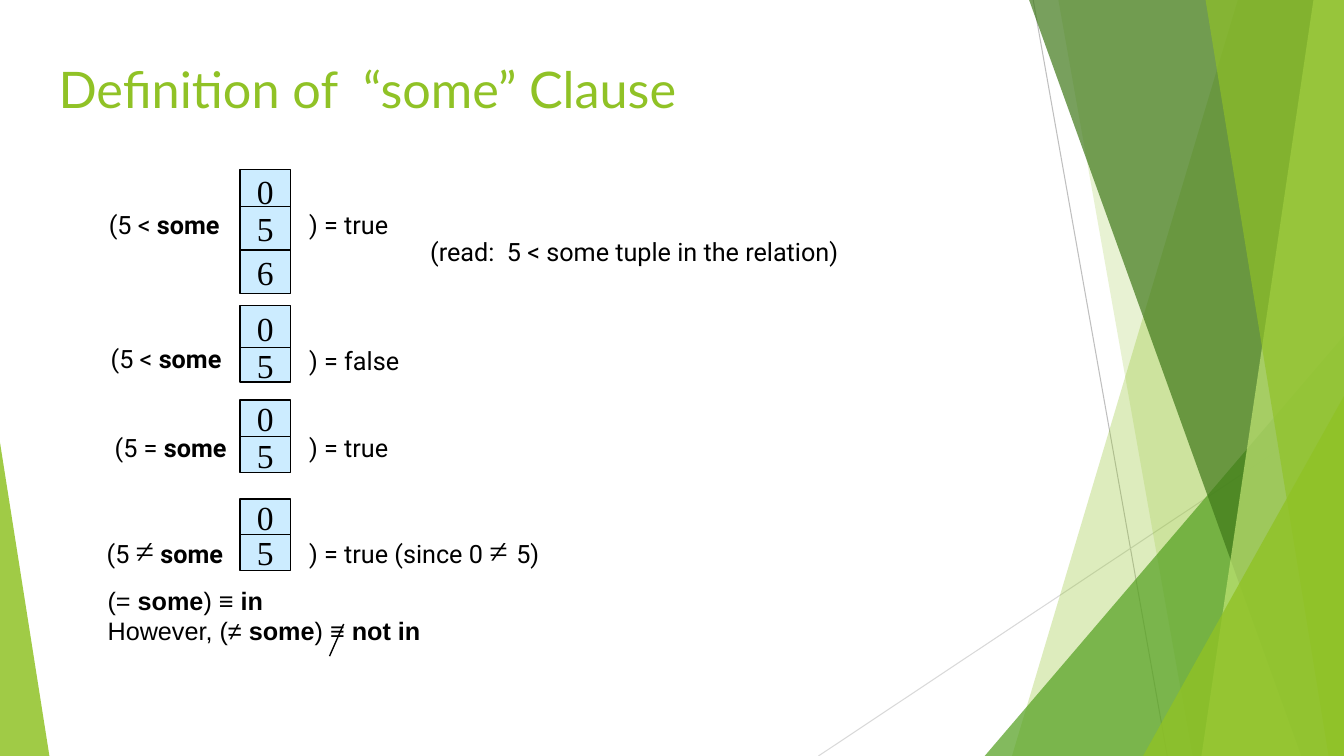
"""Build the slide that defines the "some" clause with worked comparisons."""
from dataclasses import dataclass

from lxml.etree import SubElement
from pptx import Presentation
from pptx.dml.color import RGBColor
from pptx.enum.shapes import MSO_CONNECTOR, MSO_SHAPE
from pptx.enum.text import MSO_ANCHOR, MSO_AUTO_SIZE, PP_ALIGN
from pptx.oxml.ns import qn
from pptx.util import Pt


@dataclass(frozen=True)
class Theme:
    lime: str = "90C226"
    green: str = "54A021"
    forest: str = "3F7819"
    pale: str = "C0E474"
    cell: str = "CCECFF"
    ink: str = "000000"
    grey: str = "BFBFBF"
    light_grey: str = "D9D9D9"
    title_font: str = "Lato"
    label_font: str = "Roboto"
    value_font: str = "Times New Roman"
    summary_font: str = "Arial"
    title_size: float = 36
    label_size: float = 18
    value_size: float = 24


@dataclass(frozen=True)
class Shard:
    top_x: float
    bottom_x: float
    color: str
    opacity: int


@dataclass(frozen=True)
class Wedge:
    left: float
    top: float
    width: float
    apex: float
    color: str
    opacity: int


@dataclass(frozen=True)
class Rule:
    start: tuple[float, float]
    end: tuple[float, float]
    color: str
    weight: float


@dataclass(frozen=True)
class Span:
    text: str
    bold: bool = False
    symbol: bool = False


@dataclass(frozen=True)
class Label:
    left: float
    top: float
    width: float
    height: float
    lines: tuple[tuple[Span, ...], ...]
    font: str


@dataclass(frozen=True)
class Cell:
    value: str
    top: float
    height: float


THEME = Theme()
PAGE_WIDTH, PAGE_HEIGHT = 960, 540
CELL_LEFT, CELL_WIDTH = 171.4, 36
RESULT_LEFT = 213.8

BACKDROP_RULES = (
    Rule((738, 0), (833.8, 540), THEME.grey, 0.75),
    Rule((960, 290.2), (584.6, 540), THEME.light_grey, 0.75),
)
BACKDROP = (
    Shard(884.2, 722.9, THEME.lime, 30),
    Shard(756, 851.8, THEME.lime, 20),
    Wedge(703.4, 239.8, 256.6, 1, THEME.green, 72),
    Shard(735.1, 929.5, THEME.forest, 70),
    Shard(938.2, 858.2, THEME.pale, 70),
    Shard(861.1, 949, THEME.lime, 65),
    Wedge(816.5, 283, 143.5, 1, THEME.lime, 80),
    Wedge(0, 316.1, 35.3, 0, THEME.lime, 85),
)
CELLS = (
    Cell("0", 121, 31), Cell("5", 147.6, 31), Cell("6", 178.6, 31),
    Cell("0", 218.2, 31.7), Cell("5", 248.4, 24.5),
    Cell("0", 285.8, 25.9), Cell("5", 311.8, 25.9),
    Cell("0", 356.4, 25.9), Cell("5", 381.6, 25.9),
)
SOME = Span("some", bold=True)
NOT_EQUAL = Span("≠", symbol=True)


def label(left: float, top: float, width: float, *spans: Span, height: float = 31) -> Label:
    return Label(left, top, width, height, (spans,), THEME.label_font)


LABELS = (
    label(70.6, 146.2, 106.6, Span("(5 < "), SOME),
    label(RESULT_LEFT, 146.2, 72, Span(") = true")),
    label(300.2, 165.6, 386, Span("(read:  5 < some tuple in the relation)")),
    label(72, 241.9, 108.7, Span("(5 < "), SOME),
    label(RESULT_LEFT, 243.4, 96.5, Span(") = false")),
    label(74.9, 305.3, 120.2, Span("(5 = "), SOME),
    label(RESULT_LEFT, 305.3, 96.5, Span(") = true")),
    label(69.1, 375.1, 114.5, Span("(5 "), NOT_EQUAL, Span(" "), SOME, height=38.2),
    label(RESULT_LEFT, 375.1, 198.7, Span(") = true (since 0 "),
          Span("≠ ", symbol=True), Span("5)"), height=38.2),
    Label(69.8, 414.7, 537.8, 59.8, (
        (Span("(= "), SOME, Span(") ≡ "), Span("in", bold=True)),
        (Span("However, (≠ "), SOME, Span(") ≡ "), Span("not in", bold=True)),
    ), THEME.summary_font),
)
STRIKE = Rule((245.5, 445.7), (235.4, 468.7), THEME.ink, 1)


def write(para, text: str, *, font: str, size: float, color: str, bold: bool = False) -> None:
    span = para.add_run()
    span.text = text
    span.font.name = font
    span.font.size = Pt(size)
    span.font.bold = bold
    span.font.color.rgb = RGBColor.from_string(color)


def paint(shape, color: str, opacity: int) -> None:
    shape.shadow.inherit = False
    shape.fill.solid()
    shape.fill.fore_color.rgb = RGBColor.from_string(color)
    shape.line.fill.background()
    tint = shape._element.spPr.find(".//" + qn("a:srgbClr"))
    SubElement(tint, qn("a:alpha"), val=str(opacity * 1000))


def draw_shard(page, shard: Shard) -> None:
    builder = page.shapes.build_freeform(Pt(shard.top_x), Pt(0))
    corners = ((PAGE_WIDTH, 0), (PAGE_WIDTH, PAGE_HEIGHT), (shard.bottom_x, PAGE_HEIGHT))
    builder.add_line_segments([(Pt(x), Pt(y)) for x, y in corners], close=True)
    paint(builder.convert_to_shape(), shard.color, shard.opacity)


def draw_wedge(page, wedge: Wedge) -> None:
    shape = page.shapes.add_shape(
        MSO_SHAPE.ISOSCELES_TRIANGLE, Pt(wedge.left), Pt(wedge.top),
        Pt(wedge.width), Pt(PAGE_HEIGHT - wedge.top))
    shape.adjustments[0] = wedge.apex
    paint(shape, wedge.color, wedge.opacity)


def draw_rule(page, rule: Rule) -> None:
    line = page.shapes.add_connector(
        MSO_CONNECTOR.STRAIGHT, *(Pt(value) for value in rule.start + rule.end))
    line.line.color.rgb = RGBColor.from_string(rule.color)
    line.line.width = Pt(rule.weight)
    SubElement(line._element.spPr, qn("a:effectLst"))


def draw_cell(page, cell: Cell) -> None:
    box = page.shapes.add_shape(
        MSO_SHAPE.RECTANGLE, Pt(CELL_LEFT), Pt(cell.top), Pt(CELL_WIDTH), Pt(cell.height))
    box.shadow.inherit = False
    box.fill.solid()
    box.fill.fore_color.rgb = RGBColor.from_string(THEME.cell)
    box.line.color.rgb = RGBColor.from_string(THEME.ink)
    box.line.width = Pt(1)
    box.text_frame.word_wrap = False
    box.text_frame.vertical_anchor = MSO_ANCHOR.MIDDLE
    para = box.text_frame.paragraphs[0]
    para.alignment = PP_ALIGN.CENTER
    write(para, cell.value, font=THEME.value_font, size=THEME.value_size, color=THEME.ink)


def draw_label(page, item: Label) -> None:
    box = page.shapes.add_textbox(Pt(item.left), Pt(item.top), Pt(item.width), Pt(item.height))
    frame = box.text_frame
    frame.word_wrap = True
    for index, spans in enumerate(item.lines):
        para = frame.add_paragraph() if index else frame.paragraphs[0]
        for span in spans:
            write(para, span.text, bold=span.bold, color=THEME.ink,
                  font=THEME.value_font if span.symbol else item.font,
                  size=THEME.value_size if span.symbol else THEME.label_size)


def fill_title(page, text: str) -> None:
    title = page.shapes.title
    title.left, title.top, title.width, title.height = Pt(34.6), Pt(38.2), Pt(676.8), Pt(56.2)
    title.text_frame.auto_size = MSO_AUTO_SIZE.NONE
    title.text_frame.vertical_anchor = MSO_ANCHOR.TOP
    para = title.text_frame.paragraphs[0]
    para.alignment = PP_ALIGN.LEFT
    write(para, text, font=THEME.title_font, size=THEME.title_size, color=THEME.lime)


def main() -> None:
    deck = Presentation()
    deck.slide_width, deck.slide_height = Pt(PAGE_WIDTH), Pt(PAGE_HEIGHT)
    page = deck.slides.add_slide(deck.slide_layouts.get_by_name("Title Only"))
    fill_title(page, "Definition of  “some” Clause")
    for rule in BACKDROP_RULES:
        draw_rule(page, rule)
    for piece in BACKDROP:
        if isinstance(piece, Shard):
            draw_shard(page, piece)
        else:
            draw_wedge(page, piece)
    for cell in CELLS:
        draw_cell(page, cell)
    for item in LABELS:
        draw_label(page, item)
    draw_rule(page, STRIKE)
    deck.save("out.pptx")


if __name__ == "__main__":
    main()
